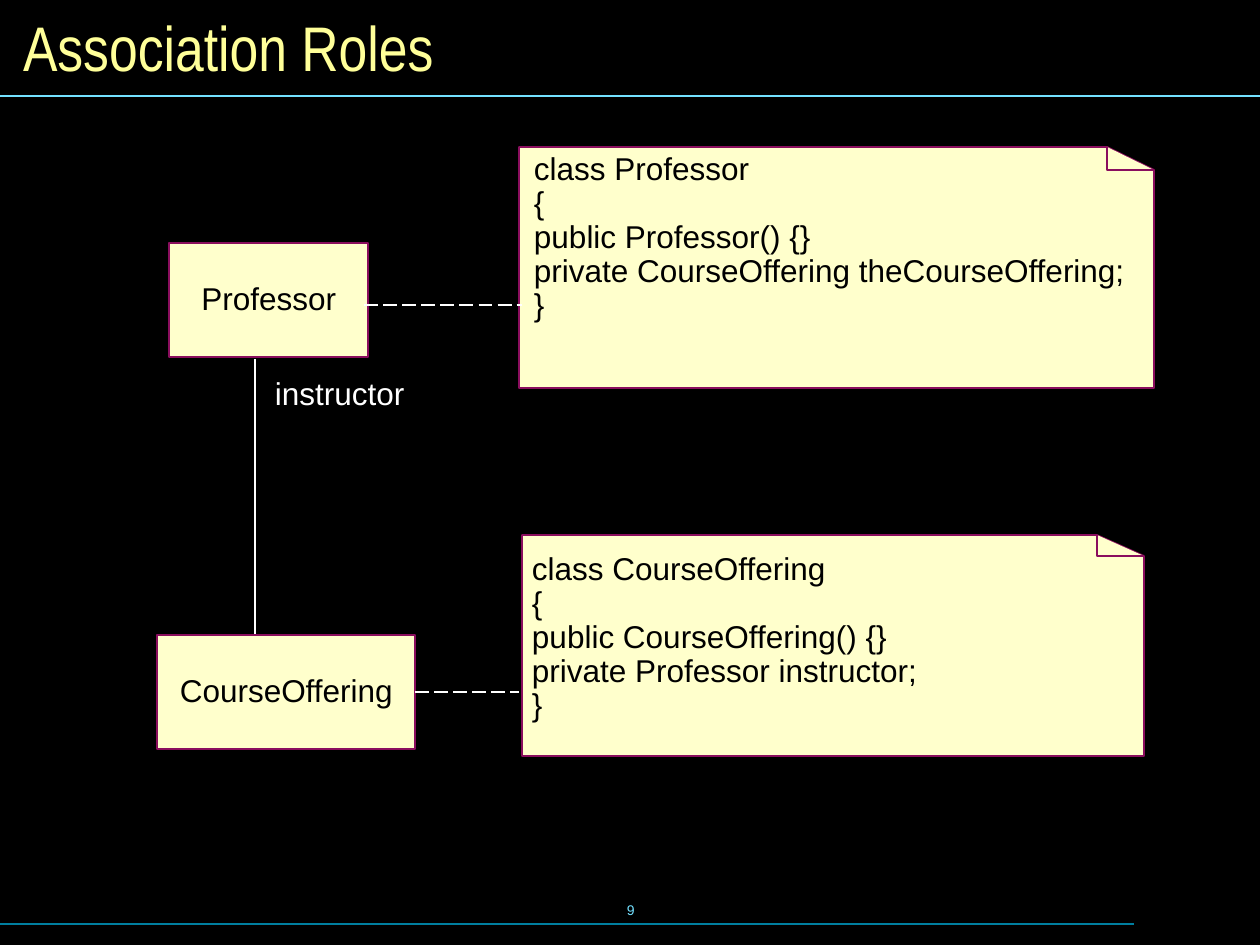
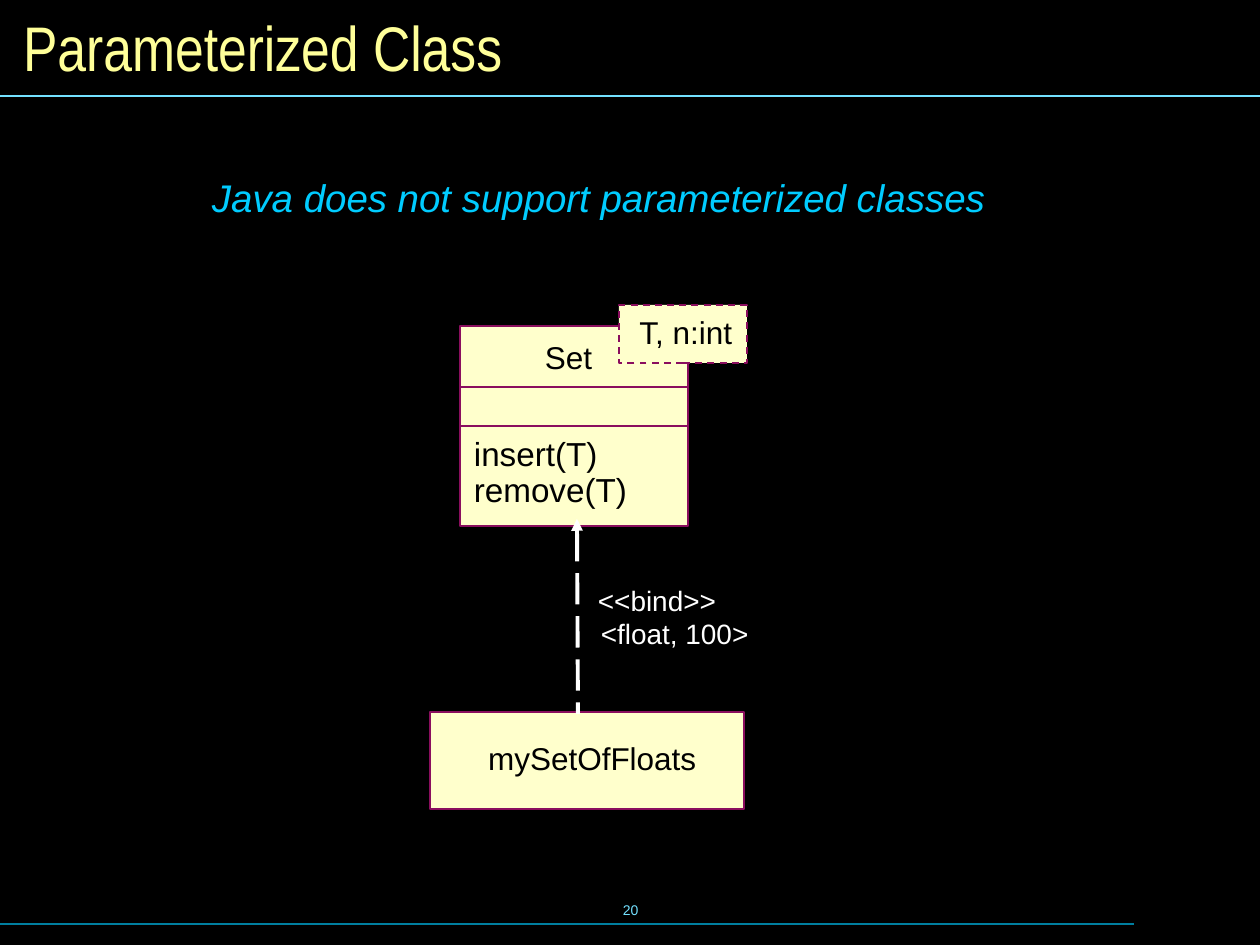
from dataclasses import dataclass

from lxml.etree import SubElement
from pptx import Presentation
from pptx.dml.color import RGBColor
from pptx.enum.dml import MSO_LINE
from pptx.enum.shapes import MSO_CONNECTOR, MSO_SHAPE
from pptx.enum.text import MSO_ANCHOR, MSO_AUTO_SIZE, PP_ALIGN
from pptx.oxml.ns import qn
from pptx.util import Inches, Pt

PX = Inches(1) // 126


@dataclass(frozen=True)
class Theme:
    background: RGBColor = RGBColor.from_string("000000")
    title: RGBColor = RGBColor.from_string("FFFF99")
    band: RGBColor = RGBColor.from_string("73E1FF")
    footer_band: RGBColor = RGBColor.from_string("007E9F")
    accent: RGBColor = RGBColor.from_string("00CCFF")
    box: RGBColor = RGBColor.from_string("FFFFCC")
    outline: RGBColor = RGBColor.from_string("8A0E5E")
    ink: RGBColor = RGBColor.from_string("000000")
    light: RGBColor = RGBColor.from_string("FFFFFF")
    font: str = "Arial"
    title_font: str = "Arial Narrow"
    title_size: int = 36
    statement_size: int = 22
    method_size: int = 19
    body_size: int = 18
    binding_size: int = 16
    number_size: int = 8


theme = Theme()


def write_text(shape, text, size, color, align=PP_ALIGN.LEFT, anchor=MSO_ANCHOR.TOP,
               spacing=0.9, font=theme.font, wrap=False, left=13, top=6, italic=False):
    """Fill a shape with text; left and top are its insets in px."""
    frame = shape.text_frame
    frame.text = text
    frame.word_wrap = wrap
    frame.auto_size = MSO_AUTO_SIZE.NONE
    frame.vertical_anchor = anchor
    frame.margin_left, frame.margin_top = left * PX, top * PX
    for paragraph in frame.paragraphs:
        paragraph.alignment = align
        paragraph.line_spacing = spacing
        for run in paragraph.runs:
            run.font.name = font
            run.font.size = Pt(size)
            run.font.color.rgb = color
            run.font.italic = italic


def add_line(slide, start, end, color, width=1, dash=None):
    line = slide.shapes.add_connector(
        MSO_CONNECTOR.STRAIGHT, *(value * PX for value in (*start, *end)))
    line.line.color.rgb = color
    line.line.width = Pt(width)
    if dash:
        line.line.dash_style = dash
    SubElement(line._element.spPr, qn("a:effectLst"))
    return line


presentation = Presentation()
presentation.slide_width = Inches(10)
presentation.slide_height = Inches(7.5)
master_fill = presentation.slide_master.background.fill
master_fill.solid()
master_fill.fore_color.rgb = theme.background
title_layout = presentation.slide_layouts.get_by_name("Title Only")

# Title, bands and slide number
slides = []
for title, number in [("Association Roles", "9"), ("Parameterized Class", "20")]:
    slide = presentation.slides.add_slide(title_layout)
    slides.append(slide)
    heading = slide.shapes.title
    heading.left, heading.top, heading.width, heading.height = (
        value * PX for value in (10, 10, 1240, 73))
    write_text(heading, title, theme.title_size, theme.title, anchor=MSO_ANCHOR.MIDDLE,
               spacing=1.0, font=theme.title_font, wrap=True)
    number_box = slide.shapes.add_textbox(431 * PX, 879 * PX, 399 * PX, 63 * PX)
    write_text(number_box, number, theme.number_size, theme.band, PP_ALIGN.CENTER,
               MSO_ANCHOR.MIDDLE, spacing=1.0)
    add_line(slide, (0, 924), (1134, 924), theme.footer_band, 0.75)
    add_line(slide, (0, 96), (1260, 96), theme.band, 0.75)
roles_slide, parameterized_slide = slides

# Class boxes
class_boxes = {}
for slide, name, bounds, inset in [
    (roles_slide, "Professor", (169, 243, 199, 114), 13),
    (roles_slide, "CourseOffering", (157, 635, 258, 114), 13),
    (parameterized_slide, "", (460, 326, 228, 200), 13),
    (parameterized_slide, "T, n:int", (619, 305, 128, 58), 18),
    (parameterized_slide, "mySetOfFloats", (430, 712, 314, 97), 23),
]:
    box = slide.shapes.add_shape(MSO_SHAPE.RECTANGLE, *(value * PX for value in bounds))
    box.shadow.inherit = False
    box.fill.solid()
    box.fill.fore_color.rgb = theme.box
    box.line.color.rgb = theme.outline
    box.line.width = Pt(1)
    if name:
        write_text(box, name, theme.body_size, theme.ink, PP_ALIGN.CENTER,
                   MSO_ANCHOR.MIDDLE, left=inset)
    class_boxes[name] = box
class_boxes["T, n:int"].line.dash_style = MSO_LINE.DASH
for divider_y in (387, 426):
    add_line(parameterized_slide, (460, divider_y), (688, divider_y), theme.outline)

# Code notes with a folded corner
professor_code = """class Professor
{
public Professor() {}
private CourseOffering theCourseOffering;
}"""
offering_code = """class CourseOffering
{
public CourseOffering() {}
private Professor instructor;
}"""
for code, (left, top, right, bottom), (fold_x, fold_y), insets in [
    (professor_code, (519, 147, 1154, 388), (1107, 170), (15, 6)),
    (offering_code, (522, 535, 1144, 756), (1097, 556), (10, 18)),
]:
    sheet = [(right, bottom), (left, bottom), (left, top), (fold_x, top), (right, fold_y)]
    fold = [(right, fold_y), (fold_x, fold_y), (fold_x, top)]
    for points, closed in ((sheet, True), (fold, False)):
        builder = roles_slide.shapes.build_freeform(*points[0], scale=PX)
        builder.add_line_segments(points[1:], close=closed)
        outline = builder.convert_to_shape()
        outline.shadow.inherit = False
        outline.fill.solid()
        outline.fill.fore_color.rgb = theme.box
        outline.line.color.rgb = theme.outline
        outline.line.width = Pt(1)
        if closed:
            write_text(outline, code, theme.body_size, theme.ink,
                       left=insets[0], top=insets[1])

# Associations
add_line(roles_slide, (255, 359), (255, 634), theme.light)
add_line(roles_slide, (364, 305), (522, 305), theme.light, dash=MSO_LINE.LONG_DASH)
offering_link = add_line(roles_slide, (415, 692), (519, 692), theme.light,
                         dash=MSO_LINE.LONG_DASH)
offering_link.begin_connect(class_boxes["CourseOffering"], 3)
binding = add_line(parameterized_slide, (577, 519), (578, 714), theme.light, 2.25,
                   MSO_LINE.LONG_DASH)
SubElement(binding.line._get_or_add_ln(), qn("a:headEnd"), type="triangle")

# Free labels
for slide, text, bounds, size, color in [
    (roles_slide, "instructor", (262, 372, 154, 45), theme.body_size, theme.light),
    (parameterized_slide, "Set", (532, 336, 72, 45), theme.body_size, theme.ink),
    (parameterized_slide, "insert(T)\nremove(T)", (461, 432, 178, 84),
     theme.method_size, theme.ink),
    (parameterized_slide, "<<bind>>", (585, 581, 142, 42), theme.binding_size, theme.light),
    (parameterized_slide, "<float, 100>", (588, 614, 173, 43),
     theme.binding_size, theme.light),
]:
    label = slide.shapes.add_textbox(*(value * PX for value in bounds))
    write_text(label, text, size, color)

statement = parameterized_slide.shapes.add_textbox(199 * PX, 168 * PX, 809 * PX, 59 * PX)
write_text(statement, "Java does not support parameterized classes", theme.statement_size,
           theme.accent, spacing=1.0, wrap=True, italic=True)

presentation.save("out.pptx")
